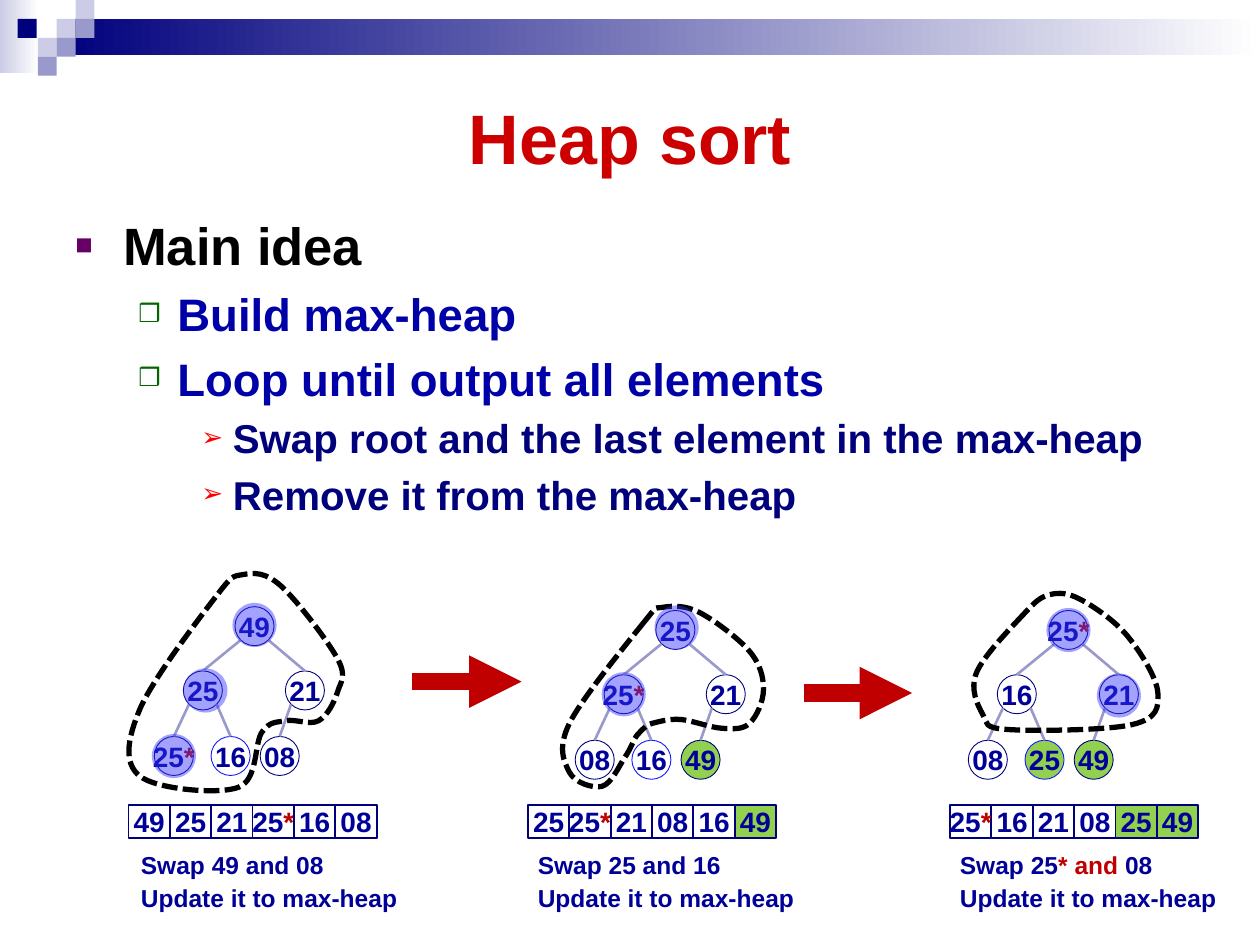
from dataclasses import dataclass

import pptx
import pptx.dml.color
import pptx.enum.dml
import pptx.enum.shapes
import pptx.enum.text
import pptx.oxml.ns
import pptx.util
from lxml import etree
from pptx.util import Inches

HUES = {
    "navy": "00007D", "lilac": "9999CC", "pale": "CCCCE6", "white": "FFFFFF",
    "black": "000000", "title": "CC0000", "blue": "0000A8", "label": "000099",
    "red": "C00000", "green": "92D050", "halo": "3333FF", "bright": "1818FF",
    "plum": "660066", "leaf": "006600", "scarlet": "FF0000",
}
KINDS = pptx.enum.shapes.MSO_SHAPE
ALIGN = pptx.enum.text.PP_ALIGN
MIDDLE = pptx.enum.text.MSO_ANCHOR.MIDDLE

# Node centres measured from the root, in level order
NODES = [(0, 0), (-0.41, 0.51), (0.4, 0.51), (-0.64, 1.03), (-0.19, 1.03), (0.2, 1.03)]
SIZE, GLOW = 0.31, 0.35
CELL, ROW_TOP, ROW_HIGH = 1.97 / 6, 6.39, 0.26


@dataclass
class Block:
    left: float
    top: float
    hue: str
    side: float = 0.15


@dataclass
class Level:
    """Format of one bullet level."""
    left: float
    hang: float
    mark: str
    tint: str
    scale: int
    size: int
    hue: str
    gap: float


@dataclass
class Heap:
    root: tuple[float, float]
    row: float
    note: float
    items: list[str]
    done: int
    swap: str
    loop: list[tuple[float, float]]
    # node number -> small shift of its halo
    halos: dict[int, tuple[float, float]]


BLOCKS = [
    Block(0.45, 0.15, "pale"), Block(0.6, 0, "pale"), Block(0.6, 0.15, "lilac"),
    Block(0.3, 0.3, "pale"), Block(0.14, 0.15, "navy"), Block(0.45, 0.3, "lilac"),
    Block(0.3, 0.45, "lilac"),
]
LEVELS = [
    Level(0.38, 0.38, "■", "plum", 55, 30, "black", 6),
    Level(0.81, 0.31, "❒", "leaf", 55, 26, "blue", 4.1),
    Level(1.25, 0.25, "➢", "scarlet", 65, 23, "navy", 3.3),
]
POINTS = [
    (0, "Main idea"), (1, "Build max-heap"), (1, "Loop until output all elements"),
    (2, "Swap root and the last element in the max-heap"),
    (2, "Remove it from the max-heap"),
]
# A bar in a text switches between the main and the accent colour
HEAPS = [
    Heap((2.02, 4.97), 1.02, 1.02, ["49", "25", "21", "25|*", "16", "08"], 0,
         "Swap 49 and 08",
         [(1.71, 4.74), (1.11, 5.63), (1.11, 6.16), (1.89, 6.25), (2.08, 5.81),
          (2.27, 5.72), (2.53, 5.72), (2.68, 5.49), (2.68, 5.23), (2.23, 4.65), (1.93, 4.56)],
         {0: (0, -0.01), 1: (0.02, 0), 3: (0, 0)}),
    Heap((5.36, 5), 4.19, 4.17, ["25", "25|*", "21", "08", "16", "49"], 1,
         "Swap 25 and 16",
         [(5.11, 4.94), (4.52, 5.74), (4.52, 6.13), (4.78, 6.24), (4.96, 6.01),
          (5.04, 5.86), (5.07, 5.82), (5.11, 5.78), (5.18, 5.74), (5.4, 5.71),
          (5.73, 5.78), (5.95, 5.74), (6.06, 5.47), (5.95, 5.17), (5.55, 4.86), (5.26, 4.82)],
         {0: (0.01, -0.02), 1: (0, 0)}),
    Heap((8.48, 5), 7.54, 7.52, ["25|*", "16", "21", "08", "25", "49"], 2,
         "Swap 25|* and |08",
         [(8.12, 4.88), (7.75, 5.34), (7.8, 5.67), (8, 5.79), (8.99, 5.75),
          (9.19, 5.5), (8.95, 5.05), (8.58, 4.76), (8.33, 4.72)],
         {0: (0, 0), 2: (0, 0.01)}),
]
ARROWS = [(3.27, 4.14, 5.41), (6.38, 7.24, 5.5)]


def rgb(hue: str):
    return pptx.dml.color.RGBColor.from_string(HUES[hue])


def add_sub(node, tag: str, **attrs):
    return etree.SubElement(node, pptx.oxml.ns.qn(tag), attrs)


def write(para, text: str, *, size: float, hue: str, accent: str = "red", align=None) -> None:
    if align is not None:
        para.alignment = align
    for i, part in enumerate(text.split("|")):
        run = para.add_run()
        run.text = part
        run.font.name, run.font.bold = "Arial", True
        run.font.size = pptx.util.Pt(size)
        run.font.color.rgb = rgb(accent if i % 2 else hue)


def draw(slide, kind, left, top, width, height, *, fill=None, line=None, weight=1, text=None):
    shape = slide.shapes.add_shape(kind, Inches(left), Inches(top), Inches(width), Inches(height))
    shape.shadow.inherit = False
    if fill:
        shape.fill.solid()
        shape.fill.fore_color.rgb = rgb(fill)
    if line:
        shape.line.color.rgb = rgb(line)
        shape.line.width = pptx.util.Pt(weight)
    else:
        shape.line.fill.background()
    if text:
        frame = shape.text_frame
        frame.word_wrap, frame.vertical_anchor = False, MIDDLE
        frame.margin_left = frame.margin_right = frame.margin_top = frame.margin_bottom = 0
        write(frame.paragraphs[0], text, size=16, hue="label", align=ALIGN.CENTER)
    return shape


def fade(slide, left, top, width, height, hue: str) -> None:
    """Draw a bar that fades from the colour to white."""
    bar = draw(slide, KINDS.RECTANGLE, left, top, width, height)
    bar.fill.gradient()
    bar.fill.gradient_angle = 0
    for stop, name in zip(bar.fill.gradient_stops, (hue, "white")):
        stop.color.rgb = rgb(name)


def join(slide, start, end, hue: str, weight: float):
    link = slide.shapes.add_connector(
        pptx.enum.shapes.MSO_CONNECTOR.STRAIGHT, *(Inches(v) for v in (*start, *end)))
    link.line.color.rgb = rgb(hue)
    link.line.width = pptx.util.Pt(weight)
    add_sub(link._element.spPr, "a:effectLst")
    return link


def bend(shape, knots) -> None:
    """Turn the straight sides of a closed outline into smooth cubic curves."""
    left, top, count = min(x for x, _ in knots), min(y for _, y in knots), len(knots)
    sides = shape._element.spPr.findall(".//" + pptx.oxml.ns.qn("a:lnTo"))
    for i, side in enumerate(sides):
        a, b, c, d = (knots[(i + k) % count] for k in (-1, 0, 1, 2))
        first = [q + (r - p) / 6 for p, q, r in zip(a, b, c)]
        second = [r - (s - q) / 6 for q, r, s in zip(b, c, d)]
        side.clear()
        side.tag = pptx.oxml.ns.qn("a:cubicBezTo")
        for x, y in (first, second, c):
            add_sub(side, "a:pt", x=str(Inches(x - left)), y=str(Inches(y - top)))


def lasso(slide, knots) -> None:
    """Draw the dashed outline around the live part of a heap."""
    start, *rest = [(Inches(x), Inches(y)) for x, y in knots]
    pen = slide.shapes.build_freeform(*start, scale=1.0)
    pen.add_line_segments([*rest, start], close=True)
    shape = pen.convert_to_shape()
    bend(shape, knots)
    shape.shadow.inherit = False
    shape.fill.background()
    shape.line.color.rgb = rgb("black")
    shape.line.width = pptx.util.Pt(3)
    shape.line.dash_style = pptx.enum.dml.MSO_LINE.SQUARE_DOT


def draw_heap(slide, heap: Heap) -> None:
    spots = [(heap.root[0] + x, heap.root[1] + y) for x, y in NODES]
    live = len(heap.items) - heap.done
    for i, ((x, y), item) in enumerate(zip(spots, heap.items)):
        fill = "white" if i < live else "green"
        draw(slide, KINDS.OVAL, x - SIZE / 2, y - SIZE / 2, SIZE, SIZE, fill=fill,
             line="bright" if i == 4 else "navy", weight=0.5, text=item)
        draw(slide, KINDS.RECTANGLE, heap.row + i * CELL, ROW_TOP, CELL, ROW_HIGH,
             fill=fill, line="navy", text=item)
        if i:
            px, py = spots[(i - 1) // 2]
            side = -0.11 if i % 2 else 0.11
            join(slide, (px + side, py + 0.11), (x, y - SIZE / 2), "lilac", 1.5)
    lasso(slide, heap.loop)
    for i, (dx, dy) in heap.halos.items():
        x, y = spots[i]
        glow = draw(slide, KINDS.OVAL, x + dx - GLOW / 2, y + dy - GLOW / 2, GLOW, GLOW, fill="halo")
        tint = glow._element.spPr.find(".//" + pptx.oxml.ns.qn("a:srgbClr"))
        add_sub(tint, "a:alpha", val="45000")
    for top, text in ((6.7, heap.swap), (6.96, "Update it to max-heap")):
        box = slide.shapes.add_textbox(Inches(heap.note), Inches(top), Inches(2.24), Inches(0.34))
        box.text_frame.word_wrap = False
        write(box.text_frame.paragraphs[0], text, size=14, hue="label")


def add_points(slide) -> None:
    frame = slide.shapes.add_textbox(Inches(0.5), Inches(1.62), Inches(9), Inches(5.2)).text_frame
    frame.word_wrap = True
    for i, (depth, text) in enumerate(POINTS):
        para = frame.add_paragraph() if i else frame.paragraphs[0]
        level = LEVELS[depth]
        para.level, para.line_spacing = depth, 1.05
        para.space_before = pptx.util.Pt(level.gap)
        props = para._p.get_or_add_pPr()
        props.set("marL", str(Inches(level.left)))
        props.set("indent", str(-Inches(level.hang)))
        add_sub(add_sub(props, "a:buClr"), "a:srgbClr", val=HUES[level.tint])
        add_sub(props, "a:buSzPct", val=str(level.scale * 1000))
        add_sub(props, "a:buFont", typeface="Arial")
        add_sub(props, "a:buChar", char=level.mark)
        write(para, text, size=level.size, hue=level.hue)


def main() -> None:
    deck = pptx.Presentation()
    deck.slide_width, deck.slide_height = Inches(10), Inches(7.5)
    slide = deck.slides.add_slide(deck.slide_layouts[5])
    fade(slide, 0, 0, 0.31, 0.58, "pale")
    fade(slide, 0.45, 0.15, 9.55, 0.29, "navy")
    for block in BLOCKS:
        draw(slide, KINDS.RECTANGLE, block.left, block.top, block.side, block.side, fill=block.hue)

    title = slide.shapes.title
    title.left, title.top, title.width, title.height = map(Inches, (0.5, 0.5, 9, 1.16))
    title.text_frame.vertical_anchor = MIDDLE
    write(title.text_frame.paragraphs[0], "Heap sort", size=40, hue="title", align=ALIGN.CENTER)
    add_points(slide)

    for heap in HEAPS:
        draw_heap(slide, heap)
    for left, right, y in ARROWS:
        arrow = join(slide, (left, y), (right, y), "red", 10)
        add_sub(arrow.line._get_or_add_ln(), "a:tailEnd", type="triangle")
    deck.save("out.pptx")


if __name__ == "__main__":
    main()
